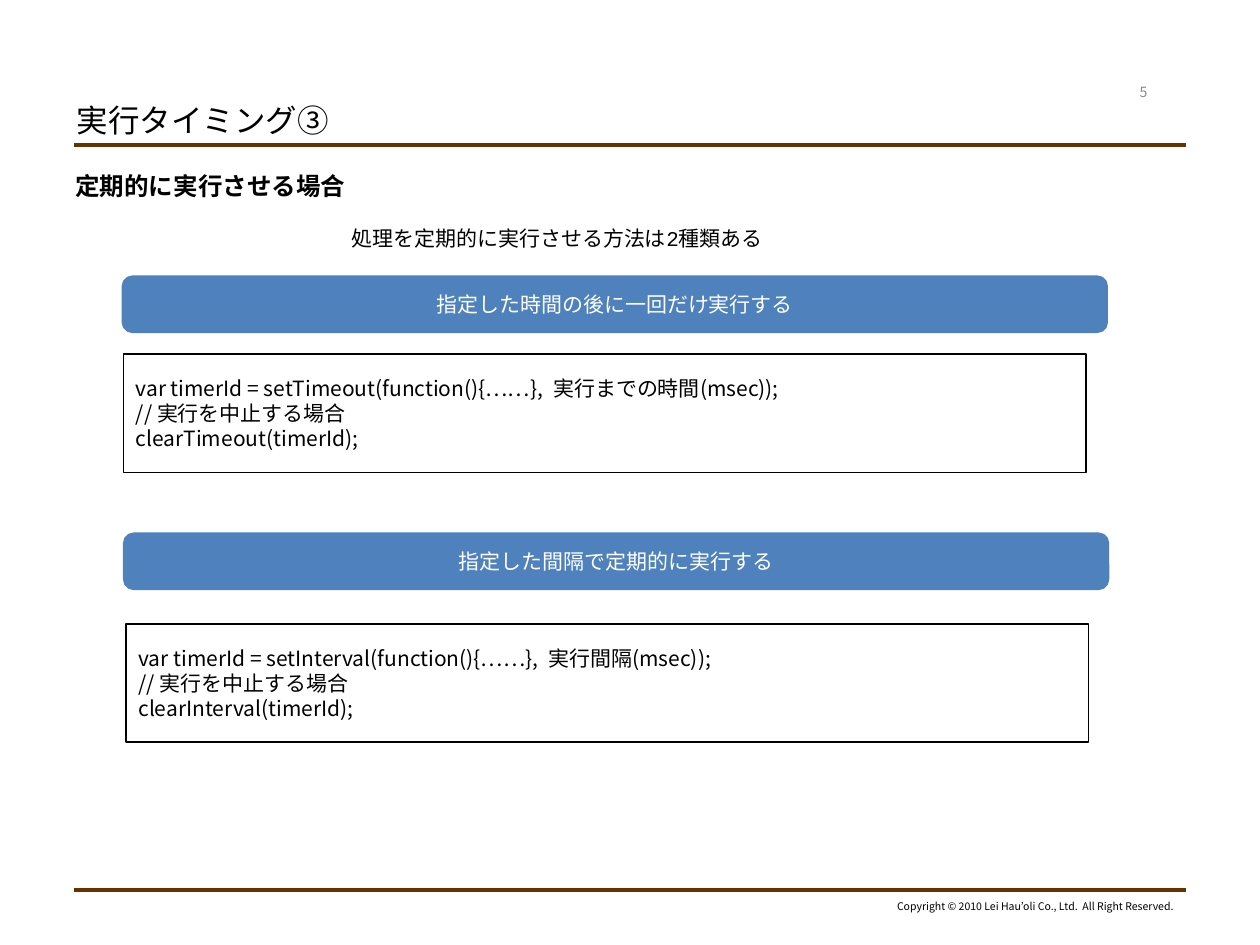
from dataclasses import dataclass

from lxml import etree
from pptx import Presentation
from pptx.dml.color import RGBColor
from pptx.enum.shapes import MSO_CONNECTOR, MSO_SHAPE
from pptx.enum.text import MSO_ANCHOR as Anchor, PP_ALIGN as Align
from pptx.oxml.ns import qn
from pptx.util import Inches, Pt

SANS = "Noto Sans CJK JP"
BLACK, WHITE, GREY = "000000", "FFFFFF", "898989"
BROWN, BLUE = "663300", "4F81BD"


@dataclass
class Frame:
    left: float
    top: float
    width: float
    height: float

    def lengths(self):
        return [Inches(v) for v in (self.left, self.top, self.width, self.height)]


@dataclass
class Label:
    text: str
    frame: Frame
    size: float
    color: str = BLACK
    font: str = SANS
    bold: bool = False
    align: Align = Align.LEFT
    anchor: Anchor = Anchor.TOP
    wrap: bool = True


@dataclass
class Method:
    heading: str
    heading_frame: Frame
    code: list[str]
    code_frame: Frame


LABELS = [
    Label("Copyright © 2010 Lei Hau’oli Co., Ltd.  All Right Reserved.",
          Frame(6.99, 7.09, 2.42, 0.2), 6, align=Align.RIGHT, wrap=False),
    Label("実行タイミング③", Frame(0.51, 0.76, 5.68, 0.39), 18, anchor=Anchor.MIDDLE),
    Label("定期的に実行させる場合", Frame(0.5, 1.31, 9, 5.59), 14, bold=True),
    Label("5", Frame(8.78, 0.61, 0.59, 0.24), 8, GREY,
          align=Align.CENTER, anchor=Anchor.MIDDLE),
    Label("処理を定期的に実行させる方法は2種類ある",
          Frame(2.69, 1.74, 3.54, 0.3), 12, font="Courier New", wrap=False),
]

METHODS = [
    Method("指定した時間の後に一回だけ実行する", Frame(0.98, 2.2, 7.8, 0.43),
           ["var timerId = setTimeout(function(){……},  実行までの時間(msec));",
            "// 実行を中止する場合",
            "clearTimeout(timerId);"],
           Frame(0.98, 2.81, 7.64, 0.94)),
    Method("指定した間隔で定期的に実行する", Frame(0.99, 4.24, 7.8, 0.43),
           ["var timerId = setInterval(function(){……},  実行間隔(msec));",
            "// 実行を中止する場合",
            "clearInterval(timerId);"],
           Frame(1, 4.95, 7.64, 0.94)),
]


def rgb(color: str) -> RGBColor:
    return RGBColor.from_string(color)


def write(shape, lines: list[str], size: float, color: str, font: str = SANS,
          bold: bool = False, align: Align = Align.LEFT,
          anchor: Anchor = Anchor.MIDDLE, wrap: bool = True) -> None:
    frame = shape.text_frame
    frame.word_wrap = wrap
    frame.vertical_anchor = anchor
    for number, line in enumerate(lines):
        para = frame.add_paragraph() if number else frame.paragraphs[0]
        span = para.add_run()
        span.text = line
        para.alignment = align
        if len(lines) > 1:
            para.line_spacing = Pt(size * 1.2)
        para.font.size = Pt(size)
        para.font.bold = bold
        para.font.color.rgb = rgb(color)
        para.font.name = font
        # East Asian glyphs take their typeface from the run
        properties = span.font._element if hasattr(span.font, "_element") else span._r.get_or_add_rPr()
        etree.SubElement(properties, qn("a:ea"), typeface=SANS)


def add_rule(page, height: float) -> None:
    rule = page.shapes.add_connector(
        MSO_CONNECTOR.STRAIGHT, Inches(0.59), Inches(height), Inches(9.41), Inches(height))
    rule.line.color.rgb = rgb(BROWN)
    rule.line.width = Pt(2.25)
    etree.SubElement(rule._element.spPr, qn("a:effectLst"))


def add_label(page, label: Label) -> None:
    box = page.shapes.add_textbox(*label.frame.lengths())
    write(box, [label.text], label.size, label.color, label.font, label.bold,
          label.align, label.anchor, label.wrap)


def add_method(page, method: Method) -> None:
    """Draw a blue heading bar and the outlined code sample below it."""
    code = page.shapes.add_shape(MSO_SHAPE.RECTANGLE, *method.code_frame.lengths())
    code.shadow.inherit = False
    code.fill.background()
    code.line.color.rgb = rgb(BLACK)
    code.line.width = Pt(1)
    write(code, method.code, 12, BLACK)

    bar = page.shapes.add_shape(MSO_SHAPE.ROUNDED_RECTANGLE, *method.heading_frame.lengths())
    bar.shadow.inherit = False
    bar.fill.solid()
    bar.fill.fore_color.rgb = rgb(BLUE)
    bar.line.color.rgb = rgb(BLUE)
    bar.line.width = Pt(2)
    write(bar, [method.heading], 12, WHITE, align=Align.CENTER)


def main() -> None:
    deck = Presentation()
    deck.slide_width, deck.slide_height = Inches(10), Inches(7.5)
    page = deck.slides.add_slide(deck.slide_layouts[6])
    for height in (1.15, 7.06):
        add_rule(page, height)
    for label in LABELS:
        add_label(page, label)
    for method in METHODS:
        add_method(page, method)
    deck.save("out.pptx")


if __name__ == "__main__":
    main()
